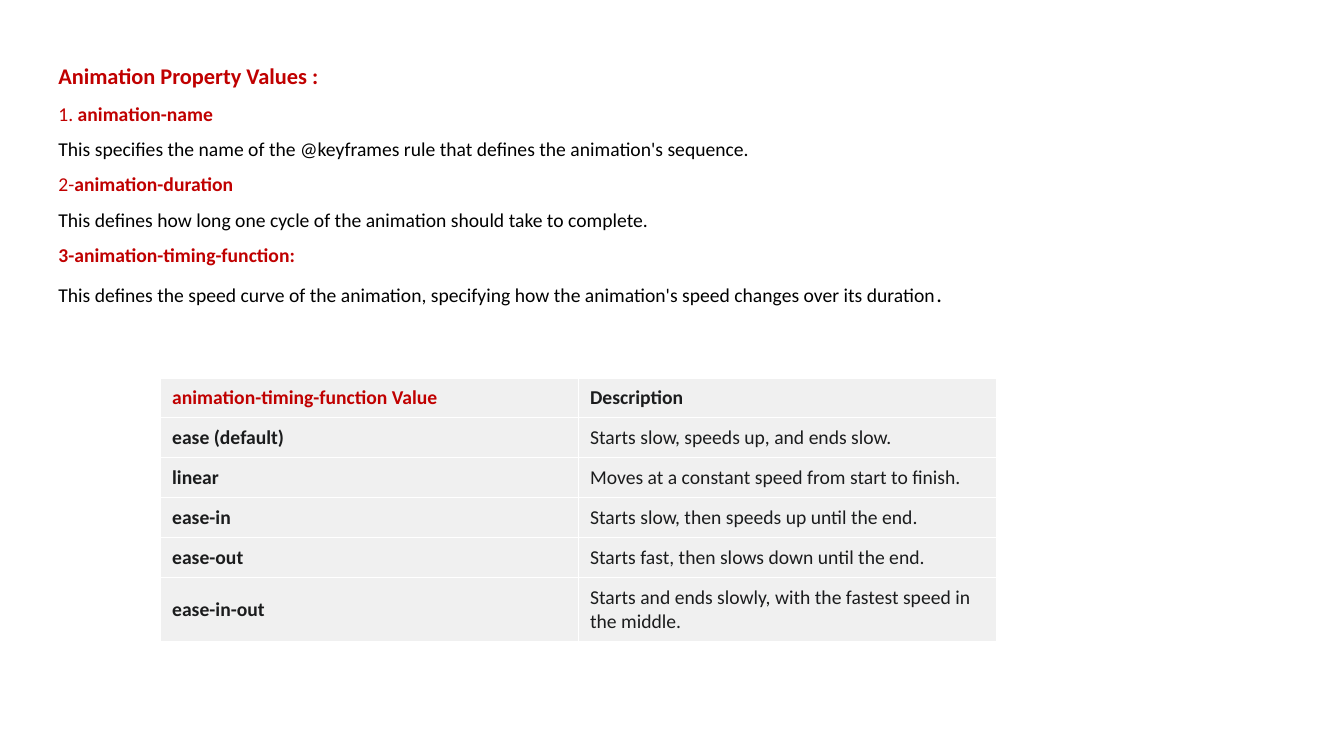
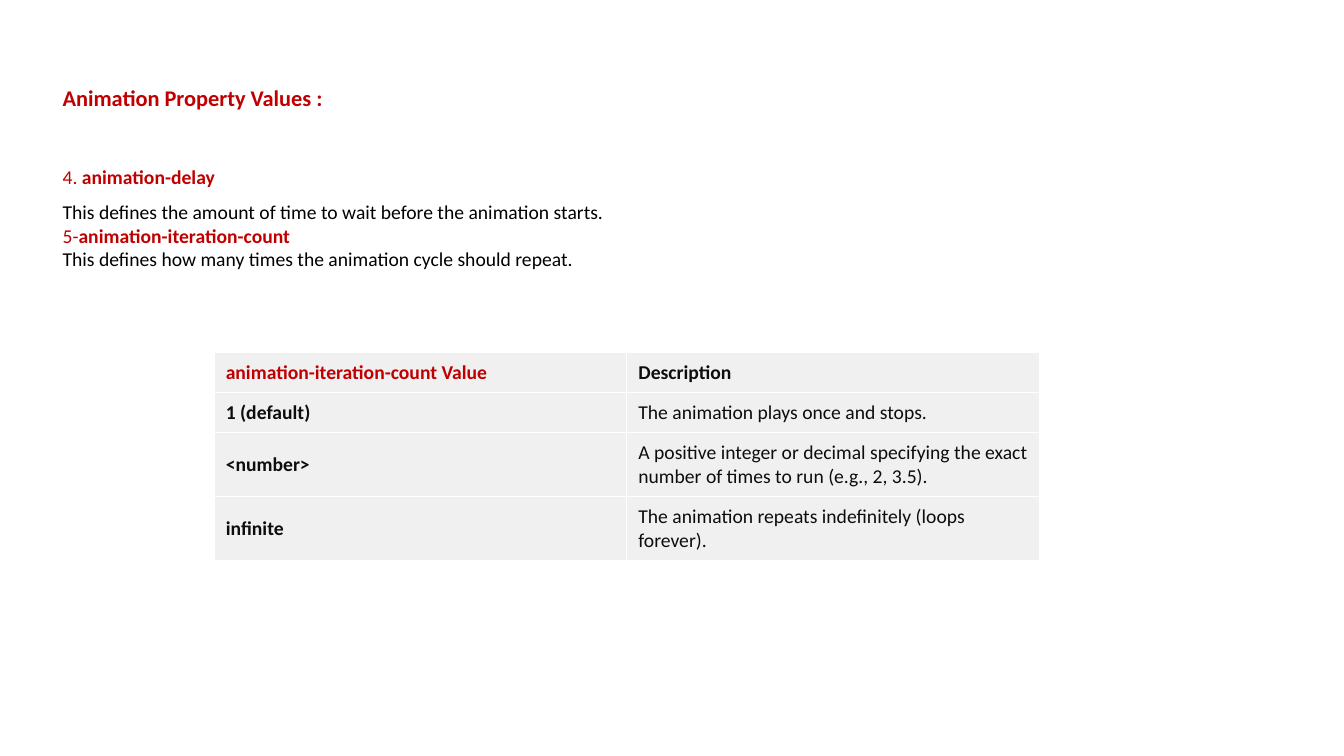
from pptx import Presentation
from pptx.dml.color import RGBColor as RGB
from pptx.enum.text import MSO_ANCHOR as ANCHOR, MSO_AUTO_SIZE as AUTO, PP_ALIGN as ALIGN
from pptx.oxml.ns import qn
from pptx.util import Pt
from lxml.etree import SubElement

PX = 9525
FONT = "Calibri"
COLORS = {"accent": "C00000", "text": "000000", "cell": "F0F0F0",
          "border": "FFFFFF", "ink": "1B1C1D", "dark": "0D0D0D"}
TITLE = "Animation Property Values :"
TITLE_LINE = 39
ROW, TALL_ROW = 38, 61


def px(*lengths):
    """Turn pixel lengths into EMU."""
    return [n * PX for n in lengths]


def add_run(p, text, size=14, color="text", bold=False):
    """Add one formatted run to a paragraph."""
    r = p.add_run()
    r.text = text
    f = r.font
    f.name, f.size, f.bold = FONT, Pt(size), bold
    f.color.rgb = RGB.from_string(COLORS[color])


def place_text(sp, box):
    """Move a placeholder to its box and return its text frame."""
    sp.left, sp.top, sp.width, sp.height = px(*box)
    tf = sp.text_frame
    tf.word_wrap, tf.auto_size, tf.vertical_anchor = True, AUTO.NONE, ANCHOR.TOP
    return tf


def format_paragraph(p, spacing):
    """Set a left-aligned paragraph without bullet or gap."""
    p.alignment, p.line_spacing = ALIGN.LEFT, spacing
    p.space_before = p.space_after = Pt(0)
    pPr = p._p.get_or_add_pPr()
    pPr.set("marL", "0")
    pPr.set("indent", "0")
    SubElement(pPr, qn("a:buNone"))


def add_text(s, box, properties, gap=0):
    """Fill the title and the property list inside one box."""
    x, y, w, h = box
    p = place_text(s.shapes.title, (x, y, w, TITLE_LINE + 10)).paragraphs[0]
    format_paragraph(p, 1.5)
    add_run(p, TITLE, size=16, color="accent", bold=True)

    offset = TITLE_LINE + gap
    tf = place_text(s.placeholders[1], (x, y + offset, w, h - offset))
    lines = []
    for number, name, description, head_spacing, text_spacing in properties:
        head = [(number, "accent", False), (name, "accent", True)]
        lines.append((head, head_spacing))
        lines.append(([(description, "text", False)], text_spacing))
    for i, (runs, spacing) in enumerate(lines):
        p = tf.add_paragraph() if i else tf.paragraphs[0]
        format_paragraph(p, spacing)
        for text, color, bold in runs:
            if text:
                add_run(p, text, color=color, bold=bold)
    return p


def add_border(cell):
    """Draw a thin line on all four sides of a cell."""
    tcPr = cell._tc.get_or_add_tcPr()
    for i, side in enumerate(("lnL", "lnR", "lnT", "lnB")):
        ln = tcPr.makeelement(qn(f"a:{side}"), {"w": str(Pt(1))})
        fill = SubElement(ln, qn("a:solidFill"))
        SubElement(fill, qn("a:srgbClr"), val=COLORS["border"])
        tcPr.insert(i, ln)


def add_value_table(s, box, rows, tall, ink):
    """Add a two-column table whose last rows hold two lines."""
    x, y, w = box
    heights = [ROW] * (len(rows) - tall) + [TALL_ROW] * tall
    table = s.shapes.add_table(len(rows), 2, *px(x, y, w, sum(heights))).table
    table.first_row = table.horz_banding = False
    for i, (row, height) in enumerate(zip(rows, heights)):
        table.rows[i].height = height * PX
        for j, text in enumerate(row):
            cell = table.cell(i, j)
            cell.fill.solid()
            cell.fill.fore_color.rgb = RGB.from_string(COLORS["cell"])
            cell.vertical_anchor = ANCHOR.MIDDLE
            cell.margin_left = cell.margin_right = 11 * PX
            cell.margin_top = cell.margin_bottom = 7 * PX
            add_border(cell)
            color = "accent" if i == j == 0 else ink
            add_run(cell.text_frame.paragraphs[0], text, color=color,
                    bold=i == 0 or j == 0)


def timing_slide(s):
    """Build the slide on name, duration and timing function."""
    last = add_text(s, (46, 42, 1115, 292), [
        ("1. ", "animation-name",
         "This specifies the name of the @keyframes rule that defines the animation's sequence.",
         1.5, 1.5),
        ("2-", "animation-duration",
         "This defines how long one cycle of the animation should take to complete.", 1.5, 1.5),
        ("", "3-animation-timing-function:",
         "This defines the speed curve of the animation, specifying how the animation's speed "
         "changes over its duration", 1.5, 1.5),
    ])
    add_run(last, ".", size=16)
    add_value_table(s, (153, 360, 796), [
        ("animation-timing-function Value", "Description"),
        ("ease (default)", "Starts slow, speeds up, and ends slow."),
        ("linear", "Moves at a constant speed from start to finish."),
        ("ease-in", "Starts slow, then speeds up until the end."),
        ("ease-out", "Starts fast, then slows down until the end."),
        ("ease-in-out", "Starts and ends slowly, with the fastest speed in the middle."),
    ], tall=1, ink="ink")


def iteration_slide(s):
    """Build the slide on delay and iteration count."""
    add_text(s, (50, 63, 1115, 235), [
        ("4. ", "animation-delay",
         "This defines the amount of time to wait before the animation starts.", 1.5, 1.5),
        ("5-", "animation-iteration-count",
         "This defines how many times the animation cycle should repeat.", 1.0, 1.0),
    ], gap=TITLE_LINE)
    add_value_table(s, (204, 336, 786), [
        ("animation-iteration-count Value", "Description"),
        ("1 (default)", "The animation plays once and stops."),
        ("<number>", "A positive integer or decimal specifying the exact number of times "
                     "to run (e.g., 2, 3.5)."),
        ("infinite", "The animation repeats indefinitely (loops forever)."),
    ], tall=2, ink="dark")


def main():
    """Build and save the presentation."""
    prs = Presentation()
    prs.slide_width, prs.slide_height = px(1280, 720)
    for build in (timing_slide, iteration_slide):
        build(prs.slides.add_slide(prs.slide_layouts[1]))
    prs.save("out.pptx")


if __name__ == "__main__":
    main()
